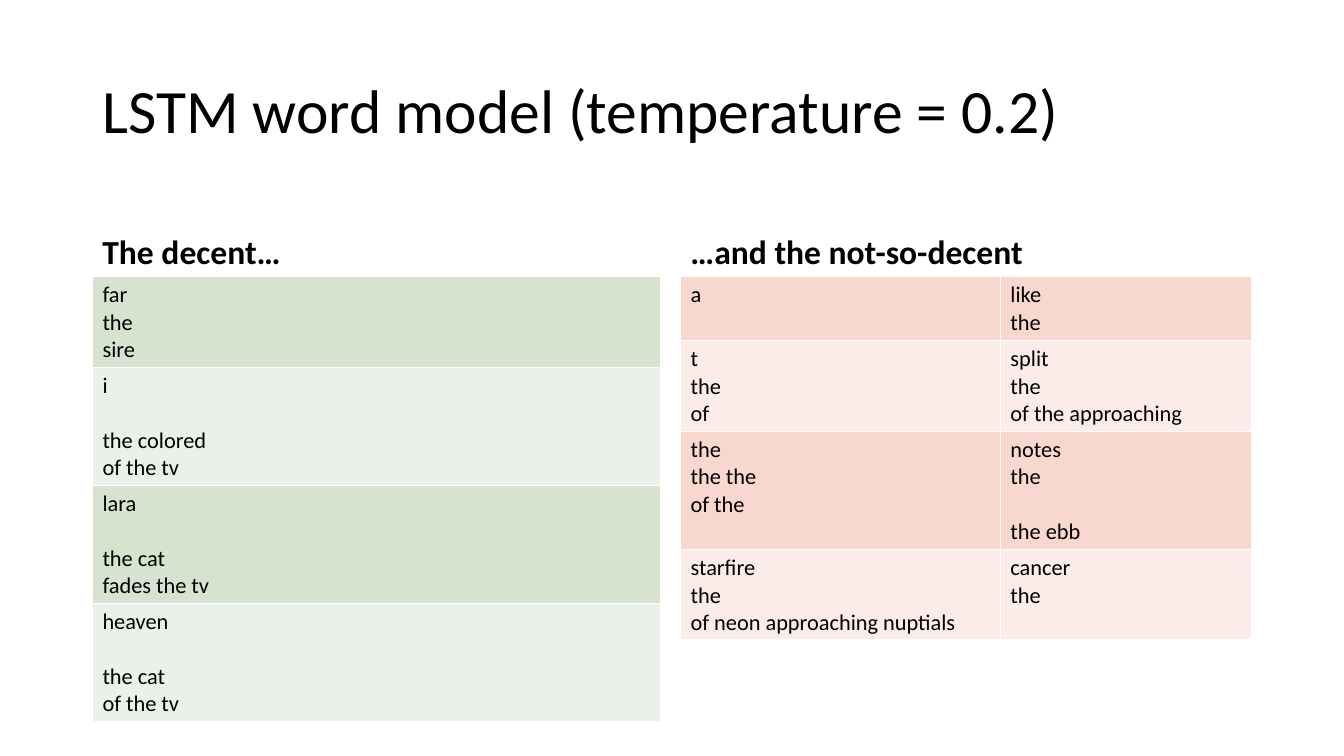
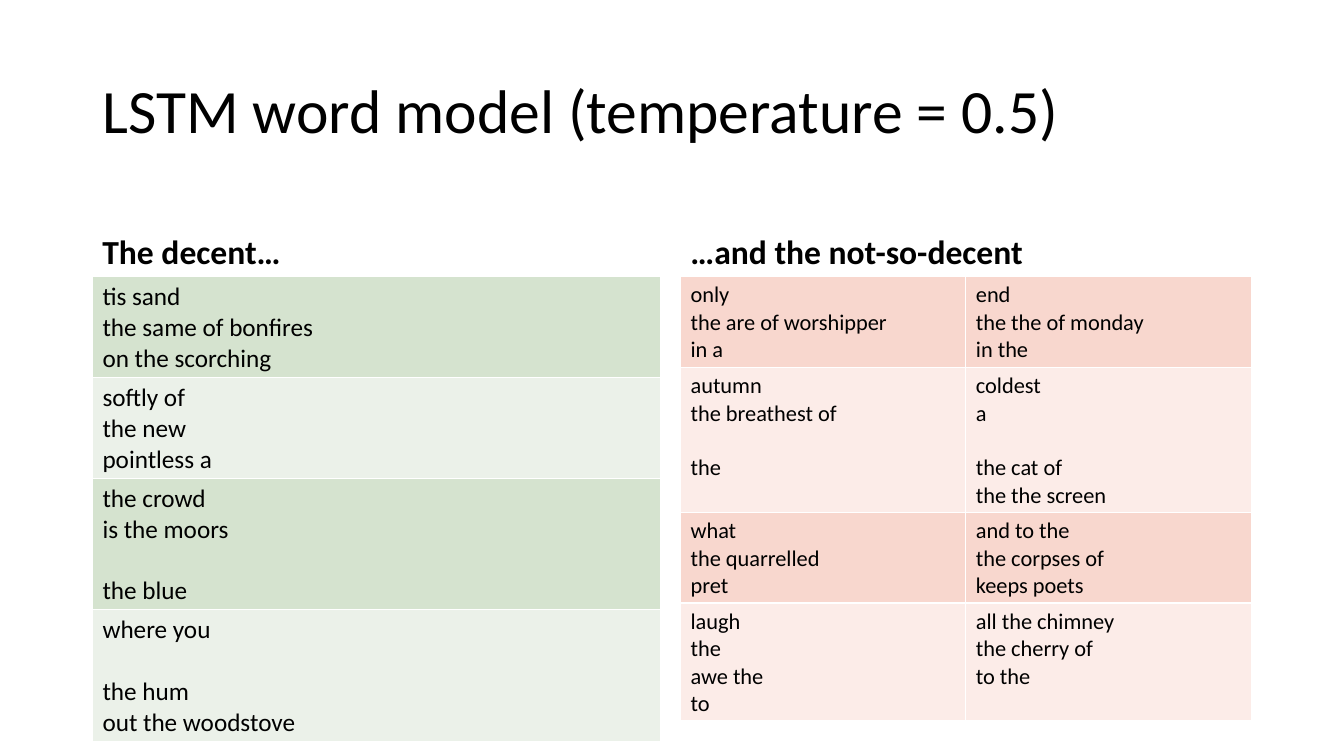
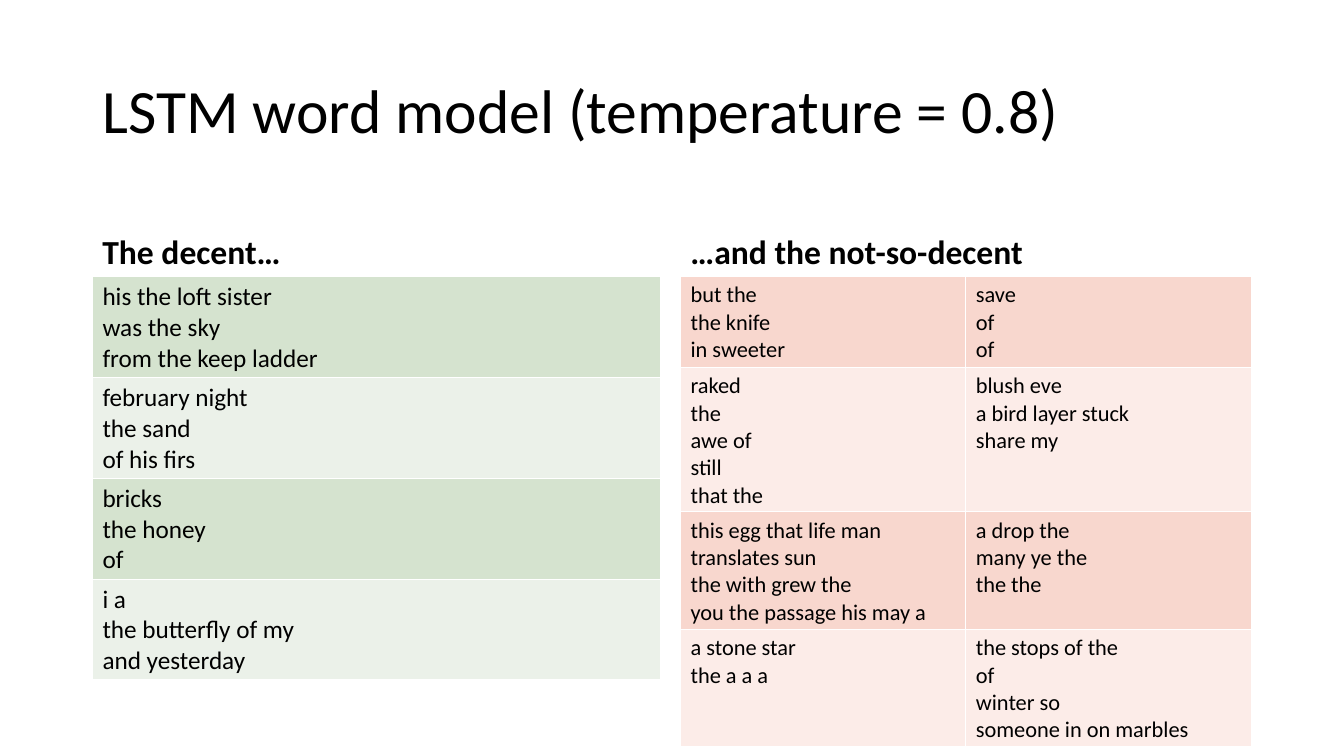
from dataclasses import dataclass

from lxml import etree
from pptx import Presentation
from pptx.dml.color import RGBColor
from pptx.enum import text
from pptx.oxml import ns
from pptx.util import Cm, Pt


@dataclass(frozen=True)
class Theme:
    """Colours, type sizes and shared lengths (cm)."""
    font: str = "Calibri"
    ink: str = "000000"
    rule: str = "FFFFFF"
    green: tuple = ("D5E3CF", "EBF1E9")
    red: tuple = ("F8D7CE", "FCECE8")
    title: int = 44
    head: int = 24
    verse: int = 16
    large: int = 18
    left: float = 2.33
    right: float = 17.15
    top: float = 6.97


class Deck:
    """Holds the theme, the file and the current slide."""

    def __init__(self, theme):
        """Start an empty wide deck."""
        self.look = theme
        self.file = Presentation()
        self.file.slide_width, self.file.slide_height = Cm(33.87), Cm(19.05)
        self.page = None

    def add(self):
        """Open a new blank slide."""
        self.page = self.file.slides.add_slide(self.file.slide_layouts[6])

    def phrase(self, para, words, size, bold=False, **form):
        """Put one styled run in a paragraph and format both."""
        run = para.add_run()
        run.text = words
        style = {"name": self.look.font, "size": Pt(size), "bold": bold}
        for item, values in ((run.font, style), (para, form)):
            for key, value in values.items():
                setattr(item, key, value)
        run.font.color.rgb = RGBColor.from_string(self.look.ink)

    def label(self, words, box, size, anchor, bold=False):
        """Add a wrapped one-line text box."""
        frame = self.page.shapes.add_textbox(*map(Cm, box)).text_frame
        frame.word_wrap = True
        frame.vertical_anchor = anchor
        self.phrase(frame.paragraphs[0], words, size, bold, line_spacing=0.9)

    def edge(self, cell):
        """Draw the four thin borders of a cell."""
        props = cell._tc.get_or_add_tcPr()
        for side in ("a:lnL", "a:lnR", "a:lnT", "a:lnB"):
            line = etree.SubElement(props, ns.qn(side), w=str(Pt(1)))
            fill = etree.SubElement(line, ns.qn("a:solidFill"))
            etree.SubElement(fill, ns.qn("a:srgbClr"), val=self.look.rule)

    def poem(self, cell, verse, size):
        """Fill a cell: "/" ends a line, "//" ends a stanza."""
        frame = cell.text_frame
        para, gap = frame.paragraphs[0], 0
        for rank, words in enumerate(verse.split("/")):
            if not words:
                gap = 1.22 * size
                continue
            if rank:
                para = frame.add_paragraph()
            self.phrase(para, words, size, space_before=Pt(gap))
            gap = 0

    def table(self, left, widths, rows, fills, size):
        """Add a table of poems with alternating row colours."""
        grid = self.page.shapes.add_table(
            len(rows), len(widths), Cm(left), Cm(self.look.top),
            Cm(sum(widths)), Cm(1)).table
        for flag in ("first_row", "horz_banding"):
            setattr(grid, flag, False)
        for col, width in zip(grid.columns, widths):
            col.width = Cm(width)
        for rank, verses in enumerate(rows):
            lines = max(len(verse.split("/")) for verse in verses)
            grid.rows[rank].height = Pt(lines * 1.2 * size + 7.2)
            for col, verse in enumerate(verses):
                cell = grid.cell(rank, col)
                self.edge(cell)
                cell.fill.solid()
                cell.fill.fore_color.rgb = RGBColor.from_string(fills[rank % 2])
                self.poem(cell, verse, size)


def build(deck, heat, size, good, widths, bad):
    """Make one slide that sets good poems against bad ones."""
    look, anchor = deck.look, text.MSO_ANCHOR
    deck.add()
    deck.label(f"LSTM word model (temperature = {heat})",
               (look.left, 1.01, 29.21, 3.68), look.title, anchor.MIDDLE)
    for words, left, width in (("The decent…", look.left, 14.33),
                               ("…and the not-so-decent", look.right, 14.4)):
        deck.label(words, (left, 4.68, width, 2.29), look.head,
                   anchor.BOTTOM, True)
    deck.table(look.right, widths, bad, look.red, look.verse)
    deck.table(look.left, (14.33,), [(verse,) for verse in good],
               look.green, size)


LOOK = Theme()
EVEN = (7.19, 7.19)
PAGES = (
    ("0.2", LOOK.verse,
     ("far/the/sire", "i//the colored/of the tv",
      "lara//the cat/fades the tv", "heaven//the cat/of the tv"),
     (8.06, 6.32),
     (("a", "like/the"),
      ("t/the/of", "split/the/of the approaching"),
      ("the/the the/of the", "notes/the//the ebb"),
      ("starfire/the/of neon approaching nuptials", "cancer/the"))),
    ("0.5", LOOK.large,
     ("tis sand/the same of bonfires/on the scorching",
      "softly of/the new/pointless a",
      "the crowd/is the moors//the blue",
      "where you//the hum/out the woodstove"),
     EVEN,
     (("only/the are of worshipper/in a", "end/the the of monday/in the"),
      ("autumn/the breathest of//the",
       "coldest/a//the cat of/the the screen"),
      ("what/the quarrelled/pret", "and to the/the corpses of/keeps poets"),
      ("laugh/the/awe the/to", "all the chimney/the cherry of/to the"))),
    ("0.8", LOOK.large,
     ("his the loft sister/was the sky/from the keep ladder",
      "february night/the sand/of his firs", "bricks/the honey/of",
      "i a/the butterfly of my/and yesterday"),
     EVEN,
     (("but the/the knife/in sweeter", "save/of/of"),
      ("raked/the/awe of/still/that the",
       "blush eve/a bird layer stuck/share my"),
      ("this egg that life man translates sun/the with grew the/"
       "you the passage his may a", "a drop the/many ye the/the the"),
      ("a stone star/the a a a",
       "the stops of the/of/winter so/someone in on marbles"))),
)

deck = Deck(LOOK)
for page in PAGES:
    build(deck, *page)
deck.file.save("out.pptx")
